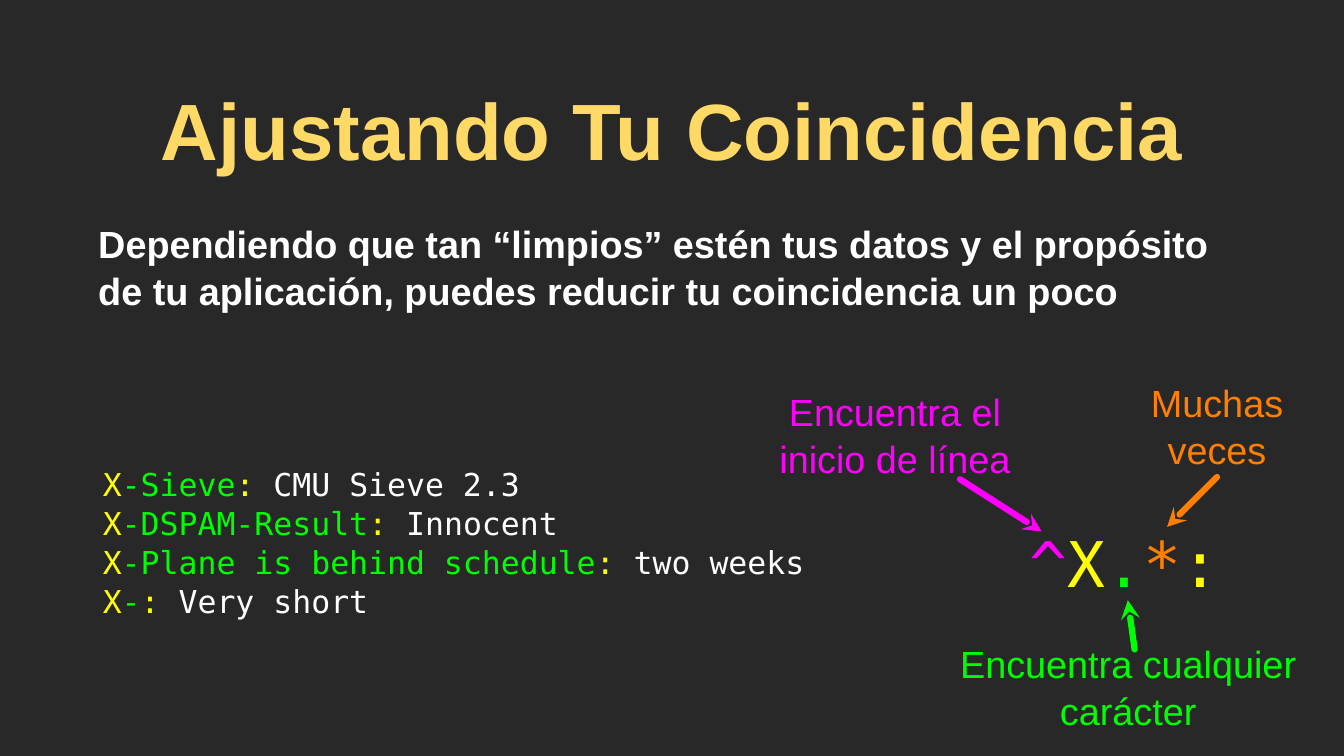
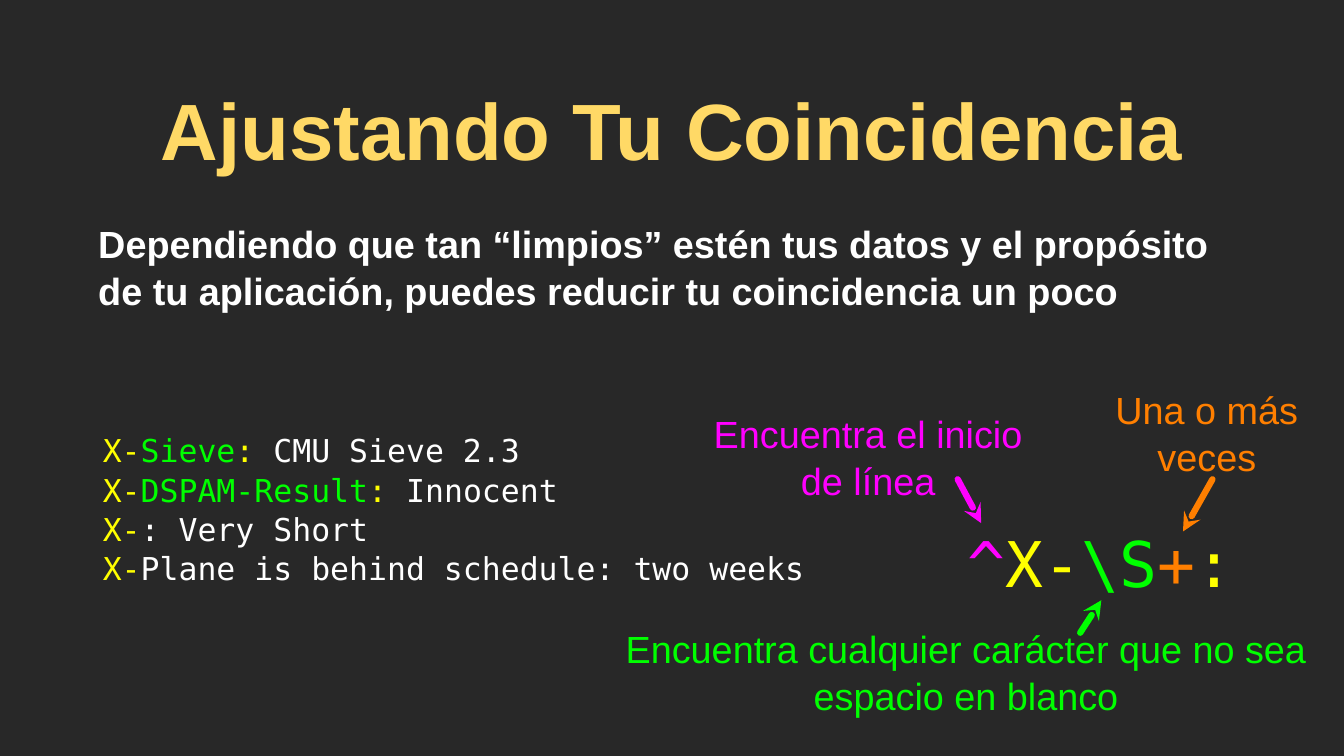
from dataclasses import dataclass
from typing import NamedTuple

from lxml import etree
from pptx import Presentation
from pptx.dml.color import RGBColor
from pptx.enum.shapes import MSO_CONNECTOR
from pptx.enum.text import MSO_ANCHOR, PP_ALIGN
from pptx.oxml.ns import qn
from pptx.util import Pt

PX = 9144  # one px is a hundredth of an inch
LEFT, MID = PP_ALIGN.LEFT, PP_ALIGN.CENTER
TOP, CENTER = MSO_ANCHOR.TOP, MSO_ANCHOR.MIDDLE
STRAIGHT = MSO_CONNECTOR.STRAIGHT

# Shared look
DARK, GOLD, WHITE = "282828", "FFD966", "FFFFFF"
PINK, YELLOW, ORANGE = "FF00FF", "FFFF00", "FF7F00"
GREEN, LEAF = "00FF00", "00FA00"
SANS, MONO = "Arial", "DejaVu Sans Mono"
LEADING = 1.04

TITLE = "Ajustando Tu Coincidencia"
INTRO = ("Dependiendo que tan “limpios” estén tus datos y el propósito "
         "de tu aplicación, puedes reducir tu coincidencia un poco")
START = "Encuentra el inicio de línea"


class Box(NamedTuple):
    x: int
    y: int
    w: int
    h: int


class Run(NamedTuple):
    text: str
    color: str


Line = list[Run]


@dataclass(frozen=True)
class Style:
    size: int
    font: str
    bold: bool = False
    align: PP_ALIGN = LEFT
    anchor: MSO_ANCHOR = CENTER
    inset: int = 0


HEAD = Style(76, SANS, True, MID, CENTER, 4)
BODY = Style(36, SANS, True, LEFT, TOP, 4)
CODE = Style(30, MONO)
REGEX = Style(60, MONO, align=MID)
LABEL = Style(36, SANS, align=MID)


@dataclass(frozen=True)
class Note:
    """A label and the arrow that runs from it to a regex symbol."""
    text: str
    color: str
    box: Box
    tip: tuple[int, int]
    tail: tuple[int, int]


@dataclass(frozen=True)
class Page:
    code: list[Line]
    code_box: Box
    regex: Line
    regex_box: Box
    notes: list[Note]


def rgb(color: str) -> RGBColor:
    return RGBColor.from_string(color)


def write(slide, box: Box, style: Style, lines: list[Line]) -> None:
    frame = slide.shapes.add_textbox(*(v * PX for v in box)).text_frame
    frame.word_wrap = True
    frame.vertical_anchor = style.anchor
    frame.margin_left = frame.margin_right = style.inset * PX
    frame.margin_top = frame.margin_bottom = style.inset * PX
    for i, line in enumerate(lines):
        para = frame.add_paragraph() if i else frame.paragraphs[0]
        para.alignment = style.align
        para.line_spacing = LEADING
        for part in line:
            run = para.add_run()
            run.text = part.text
            run.font.name = style.font
            run.font.size = Pt(style.size)
            run.font.bold = style.bold
            run.font.color.rgb = rgb(part.color)


def arrow(slide, note: Note) -> None:
    ends = (v * PX for v in note.tip + note.tail)
    link = slide.shapes.add_connector(STRAIGHT, *ends)
    link.line.width = Pt(6)
    link.line.color.rgb = rgb(note.color)
    stroke = link.line._get_or_add_ln()
    stroke.set("cap", "rnd")
    etree.SubElement(stroke, qn("a:round"))
    etree.SubElement(stroke, qn("a:headEnd"), type="stealth")
    etree.SubElement(link._element.spPr, qn("a:effectLst"))


def draw(deck, page: Page) -> None:
    slide = deck.slides.add_slide(deck.slide_layouts[6])
    fill = slide.background.fill
    fill.solid()
    fill.fore_color.rgb = rgb(DARK)
    # Title and intro
    write(slide, Box(69, 99, 1640, 136), HEAD, [[Run(TITLE, GOLD)]])
    write(slide, Box(126, 285, 1524, 165), BODY, [[Run(INTRO, WHITE)]])
    # Sample lines and regex
    write(slide, page.code_box, CODE, page.code)
    write(slide, page.regex_box, REGEX, [page.regex])
    # Labels, then arrows on top
    for note in page.notes:
        write(slide, note.box, LABEL, [[Run(note.text, note.color)]])
    for note in page.notes:
        arrow(slide, note)


def field(key: Line, value: str) -> Line:
    """A header line: coloured key, yellow colon, white value."""
    return [*key, Run(": ", YELLOW), Run(value, WHITE)]


X, XDASH = Run("X", YELLOW), Run("X-", YELLOW)
CARET, COLON = Run("^", PINK), Run(":", YELLOW)
DASH = Run("-", LEAF)

PAGES = [
    # Any character, many times
    Page(
        code=[
            field([X, Run("-Sieve", GREEN)], "CMU Sieve 2.3"),
            field([X, Run("-DSPAM-Result", GREEN)], "Innocent"),
            field([X, DASH, Run("Plane is behind schedule", GREEN)],
                  "two weeks"),
            field([X, DASH], "Very short"),
        ],
        code_box=Box(136, 597, 962, 239),
        regex=[CARET, X, Run(".", GREEN), Run("*", ORANGE), COLON],
        regex_box=Box(1320, 688, 336, 107),
        notes=[
            Note(START, PINK, Box(986, 503, 396, 141),
                 (1378, 703), (1270, 634)),
            Note("Encuentra cualquier carácter", GREEN,
                 Box(1229, 873, 527, 68), (1492, 794), (1501, 859)),
            Note("Muchas veces", ORANGE, Box(1489, 493, 242, 138),
                 (1544, 697), (1610, 631)),
        ],
    ),
    # Non-blank character, one or more times
    Page(
        code=[
            field([XDASH, Run("Sieve", GREEN)], "CMU Sieve 2.3"),
            field([XDASH, Run("DSPAM-Result", GREEN)], "Innocent"),
            [XDASH, Run(": Very Short", WHITE)],
            [XDASH, Run("Plane is behind schedule: two weeks", WHITE)],
        ],
        code_box=Box(136, 509, 960, 327),
        regex=[CARET, XDASH, Run("\\S", GREEN), Run("+", ORANGE), COLON],
        regex_box=Box(1278, 688, 356, 107),
        notes=[
            Note(START, PINK, Box(936, 538, 425, 131),
                 (1298, 692), (1267, 634)),
            Note("Encuentra cualquier carácter que no sea espacio en blanco",
                 GREEN, Box(826, 853, 904, 68), (1457, 794), (1429, 837)),
            Note("Una o más veces", ORANGE, Box(1429, 509, 335, 125),
                 (1565, 703), (1604, 634)),
        ],
    ),
]


def main() -> None:
    deck = Presentation()
    deck.slide_width, deck.slide_height = 1778 * PX, 1000 * PX
    for page in PAGES:
        draw(deck, page)
    deck.save("out.pptx")


if __name__ == "__main__":
    main()
